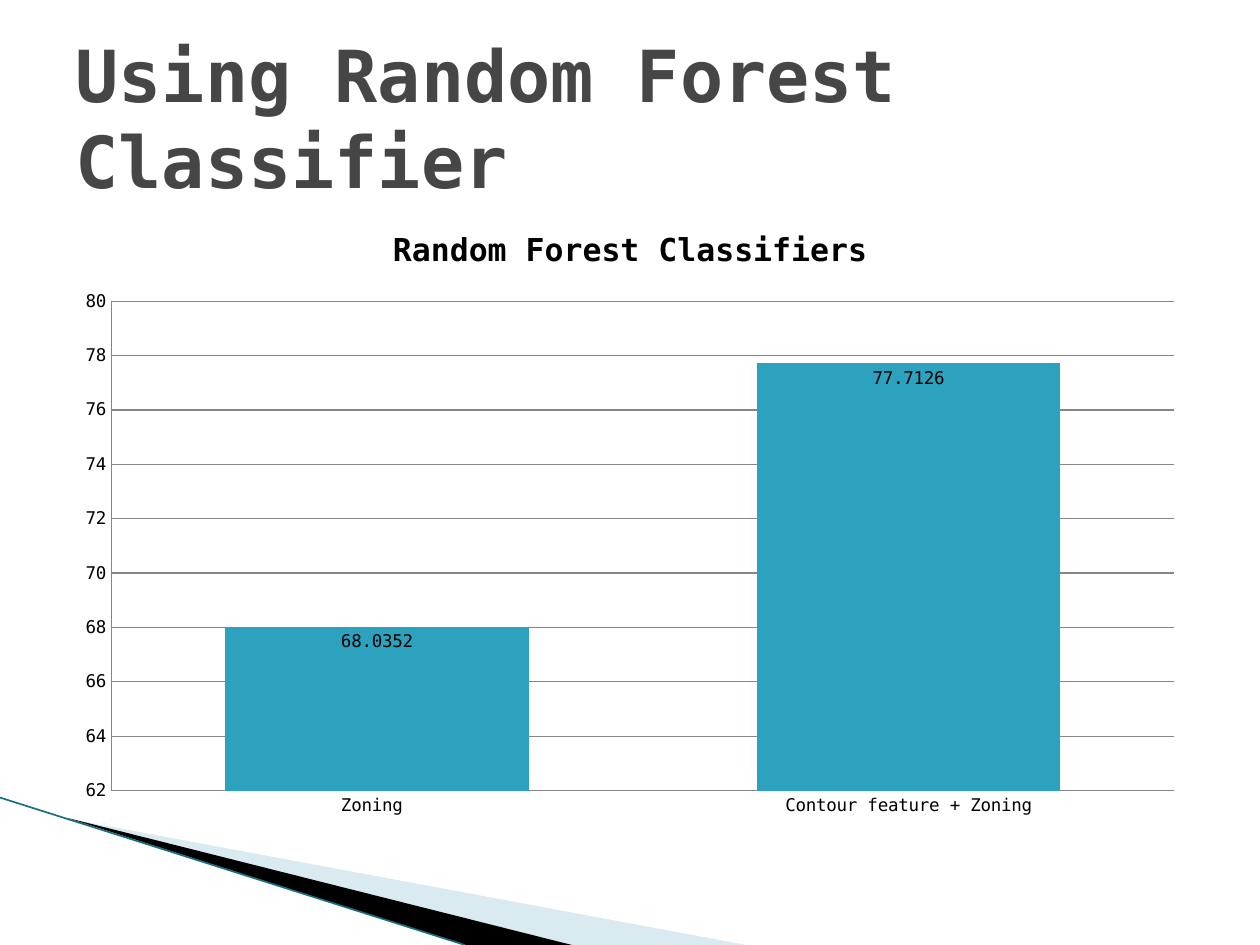
from lxml.etree import SubElement
from pptx import Presentation
from pptx.chart.data import CategoryChartData
from pptx.dml.color import RGBColor
from pptx.enum.chart import XL_CHART_TYPE, XL_LABEL_POSITION, XL_TICK_MARK
from pptx.enum.shapes import MSO_CONNECTOR
from pptx.enum.text import MSO_ANCHOR, PP_ALIGN
from pptx.oxml.ns import qn
from pptx.util import Inches, Pt

FONT = "DejaVu Sans Mono"
BLACK = RGBColor(0, 0, 0)
GRAY = RGBColor(0x46, 0x46, 0x46)
GRID = RGBColor(0x86, 0x86, 0x86)
TEAL = RGBColor(0x2D, 0xA2, 0xBF)
PALE = RGBColor(0xA0, 0xCB, 0xDC)
DEEP = RGBColor(0x1A, 0x6E, 0x82)


def style(font, size, color, bold=False):
    """Set the face, size, colour and weight of a font."""
    font.name, font.size, font.bold = FONT, Pt(size), bold
    font.color.rgb = color


def add_wedge(slide, left, top, points, color, alpha=100):
    """Draw a filled outline from points relative to left and top."""
    spots = [(Inches(left + x), Inches(top + y)) for x, y in points]
    draft = slide.shapes.build_freeform(*spots[0])
    draft.add_line_segments(spots[1:], close=True)
    wedge = draft.convert_to_shape()
    wedge.shadow.inherit = False
    wedge.fill.solid()
    wedge.fill.fore_color.rgb = color
    wedge.line.fill.background()
    if alpha < 100:
        tint = wedge.fill._xPr.find(".//" + qn("a:srgbClr"))
        SubElement(tint, qn("a:alpha"), val=str(alpha * 1000))


def add_swoosh(slide, left, top, height):
    """Draw the corner wedges and the line along their edge."""
    add_wedge(slide, left, top, [(0.55, 0.17), (5.92, height), (4.54, height)], PALE, 40)
    add_wedge(slide, left, top, [(0.53, 0.16), (4.54, height), (3.69, height)], BLACK)
    edge = slide.shapes.add_connector(
        MSO_CONNECTOR.STRAIGHT, Inches(left), Inches(top),
        Inches(left + 3.69), Inches(top + height))
    edge.line.color.rgb = DEEP
    edge.line.width = Pt(0.95)
    SubElement(edge._element.spPr, qn("a:effectLst"))


def set_title(slide, text, left, top, width, height):
    """Place and format the slide title."""
    title = slide.shapes.title
    title.left, title.top = Inches(left), Inches(top)
    title.width, title.height = Inches(width), Inches(height)
    frame = title.text_frame
    frame.text = text
    frame.word_wrap = True
    frame.vertical_anchor = MSO_ANCHOR.MIDDLE
    line = frame.paragraphs[0]
    line.alignment = PP_ALIGN.LEFT
    style(line.font, 41, GRAY, True)


def add_bars(slide, left, top, width, height):
    """Add the column chart of classifier results."""
    data = CategoryChartData()
    data.categories = ["Zoning ", "Contour feature + Zoning"]
    data.add_series("Series 1", (68.0352, 77.7126))
    chart = slide.shapes.add_chart(
        XL_CHART_TYPE.COLUMN_CLUSTERED, Inches(left), Inches(top),
        Inches(width), Inches(height), data).chart
    style(chart.font, 10, BLACK)
    chart.has_legend = False
    chart.has_title = True
    head = chart.chart_title.text_frame
    head.text = "Random Forest Classifiers"
    style(head.paragraphs[0].font, 18, BLACK, True)

    for axis in (chart.category_axis, chart.value_axis):
        axis.major_tick_mark = axis.minor_tick_mark = XL_TICK_MARK.NONE
        axis.format.line.color.rgb = GRID
    scale = chart.value_axis
    scale.minimum_scale, scale.maximum_scale, scale.major_unit = 62, 80, 2
    scale.major_gridlines.format.line.color.rgb = GRID

    plot = chart.plots[0]
    plot.gap_width, plot.overlap = 75, 40
    plot.vary_by_categories = False
    bars = plot.series[0]
    bars.format.fill.solid()
    bars.format.fill.fore_color.rgb = TEAL
    labels = bars.data_labels
    labels.show_value = True
    labels.position = XL_LABEL_POSITION.INSIDE_END
    style(labels.font, 10, BLACK)


def main():
    """Build and save the slide."""
    deck = Presentation()
    deck.slide_width, deck.slide_height = Inches(10), Inches(7.5)
    slide = deck.slides.add_slide(deck.slide_layouts[5])
    add_swoosh(slide, 0, 6.33, 1.17)
    set_title(slide, "Using Random Forest Classifier", 0.5, 0.3, 9, 1.25)
    add_bars(slide, 0.5, 1.62, 9, 4.95)
    deck.save("out.pptx")


main()
